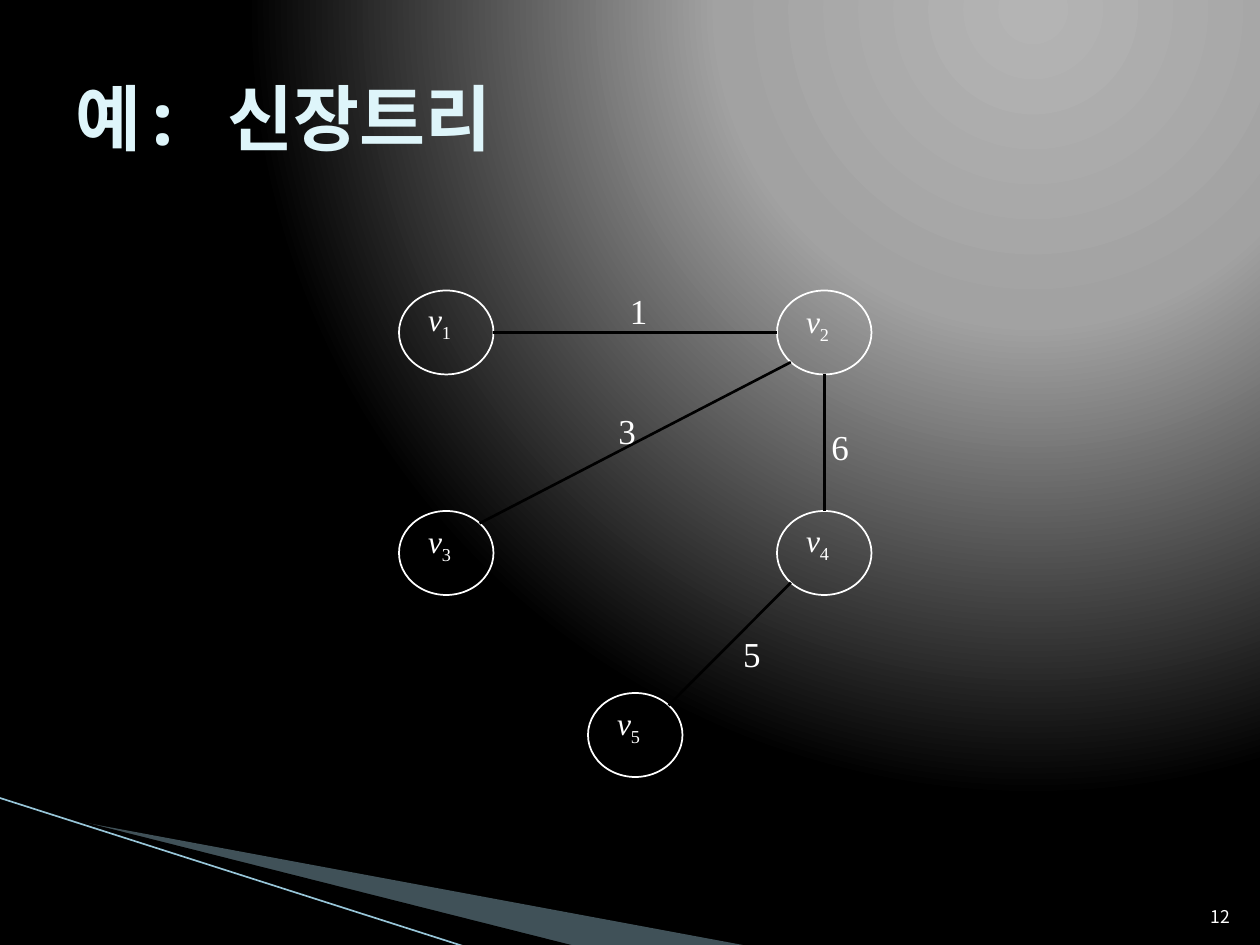
from dataclasses import dataclass
from math import hypot

from lxml import etree
from pptx import Presentation
from pptx.dml.color import RGBColor
from pptx.enum.shapes import MSO_CONNECTOR, MSO_SHAPE
from pptx.enum.text import MSO_ANCHOR, MSO_AUTO_SIZE, PP_ALIGN
from pptx.oxml import parse_xml
from pptx.oxml.ns import nsdecls, qn
from pptx.util import Pt

STRAIGHT = MSO_CONNECTOR.STRAIGHT
ELLIPSE = MSO_SHAPE.OVAL
TOP, MIDDLE, BOTTOM = MSO_ANCHOR.TOP, MSO_ANCHOR.MIDDLE, MSO_ANCHOR.BOTTOM
LEFT, RIGHT = PP_ALIGN.LEFT, PP_ALIGN.RIGHT
GROW = MSO_AUTO_SIZE.SHAPE_TO_FIT_TEXT

COLORS = {
    "text": "FFFFFF",
    "title": "DEF5FA",
    "edge": "000000",
    "shade": "000000",
    "wedge": "A0CBDC",
    "accent": "97C5D8",
}
GRADIENT_STOPS = ((0, "B4B4B4"), (40, "A2A2A2"), (100, "000000"))
SERIF, SANS, MONO = "Times New Roman", "Noto Sans CJK KR", "Noto Sans Mono"
NODE_WIDTH, NODE_HEIGHT = 54, 48


@dataclass(frozen=True)
class TextRun:
    text: str
    size: float
    font: str = SERIF
    color: str = "text"
    bold: bool = False
    italic: bool = False
    subscript: bool = False


@dataclass(frozen=True)
class Node:
    """A tree node: corner of its ellipse and drop of its label."""
    left: float
    top: float
    label_drop: float

    def rim(self, across: int, down: int) -> tuple[float, float]:
        """Return the point on the ellipse in the given direction."""
        length = hypot(across, down)
        return (self.left + NODE_WIDTH / 2 * (1 + across / length),
                self.top + NODE_HEIGHT / 2 * (1 + down / length))


@dataclass(frozen=True)
class Edge:
    """A weighted edge; directions tell where it leaves each ellipse."""
    start: int
    start_direction: tuple[int, int]
    end: int
    end_direction: tuple[int, int]
    weight: int
    weight_at: tuple[float, float]


NODES = {
    1: Node(228, 166, 2),
    2: Node(444, 166, 3),
    3: Node(228, 292, 3),
    4: Node(444, 292, 2),
    5: Node(336, 396, 3),
}
EDGES = (
    Edge(1, (1, 0), 2, (-1, 0), 1, (352.8, 162)),
    Edge(4, (-1, 1), 5, (1, -1), 5, (417.6, 357.8)),
    Edge(3, (1, -1), 2, (-1, 1), 3, (346.3, 230.4)),
    Edge(2, (0, 1), 4, (0, -1), 6, (468, 239.8)),
)


def rgb(name: str) -> RGBColor:
    """Look up a named colour."""
    return RGBColor.from_string(COLORS[name])


def set_background(slide) -> None:
    """Fill the background with a radial gradient from the upper right."""
    slide.background.fill.gradient()
    gradient = slide.element.find(".//" + qn("a:gradFill"))
    stops = "".join(
        f'<a:gs pos="{position * 1000}"><a:srgbClr val="{color}"/></a:gs>'
        for position, color in GRADIENT_STOPS)
    gradient.getparent().replace(gradient, parse_xml(
        f'<a:gradFill {nsdecls("a")} rotWithShape="1"><a:gsLst>{stops}</a:gsLst>'
        '<a:path path="circle"><a:fillToRect l="65000" t="0" r="0" b="98000"/>'
        '</a:path></a:gradFill>'))


def add_text(slide, left: float, top: float, width: float, height: float,
             runs: list[TextRun], anchor=TOP, align=LEFT, grow: bool = False) -> None:
    """Add a text box with one paragraph built from runs."""
    box = slide.shapes.add_textbox(Pt(left), Pt(top), Pt(width), Pt(height))
    frame = box.text_frame
    frame.word_wrap = not grow
    frame.vertical_anchor = anchor
    if grow:
        frame.auto_size = GROW
    paragraph = frame.paragraphs[0]
    paragraph.alignment = align
    for item in runs:
        run = paragraph.add_run()
        run.text = item.text
        font = run.font
        font.name, font.size = item.font, Pt(item.size)
        font.bold, font.italic = item.bold, item.italic
        font.color.rgb = rgb(item.color)
        properties = run._r.get_or_add_rPr()
        etree.SubElement(properties, qn("a:ea")).set("typeface", item.font)
        if item.subscript:
            properties.set("baseline", "-25000")


def add_line(slide, start: tuple[float, float], end: tuple[float, float],
             color: str, weight: float) -> None:
    """Add a straight line without a shadow."""
    line = slide.shapes.add_connector(STRAIGHT, *map(Pt, start + end))
    line.line.color.rgb = rgb(color)
    line.line.width = Pt(weight)
    etree.SubElement(line._element.spPr, qn("a:effectLst"))


def add_wedge(slide, points: list[tuple[float, float]], color: str,
              opacity: int = 100) -> None:
    """Add a closed, borderless polygon with an opacity in percent."""
    first, *others = [(Pt(x), Pt(y)) for x, y in points]
    builder = slide.shapes.build_freeform(*first)
    builder.add_line_segments(others, close=True)
    shape = builder.convert_to_shape()
    shape.shadow.inherit = False
    shape.fill.solid()
    shape.fill.fore_color.rgb = rgb(color)
    shape.line.fill.background()
    if opacity < 100:
        fill_color = shape._element.spPr.find(".//" + qn("a:srgbClr"))
        etree.SubElement(fill_color, qn("a:alpha")).set("val", str(opacity * 1000))


def add_node(slide, number: int, node: Node) -> None:
    """Add a node's ellipse and its subscripted name."""
    shape = slide.shapes.add_shape(ELLIPSE, Pt(node.left), Pt(node.top),
                                   Pt(NODE_WIDTH), Pt(NODE_HEIGHT))
    shape.shadow.inherit = False
    shape.fill.background()
    shape.line.color.rgb = rgb("text")
    shape.line.width = Pt(1)
    add_text(slide, node.left + 9.5, node.top + node.label_drop, 36.7, 37.4,
             [TextRun("v", 18, italic=True),
              TextRun(str(number), 18, subscript=True)], grow=True)


def add_edge(slide, edge: Edge) -> None:
    """Add an edge and its weight."""
    add_line(slide, NODES[edge.start].rim(*edge.start_direction),
             NODES[edge.end].rim(*edge.end_direction), "edge", 1.5)
    add_text(slide, *edge.weight_at, 24.5, 28.8,
             [TextRun(str(edge.weight), 20)], grow=True)


def main() -> None:
    """Build and save the slide."""
    presentation = Presentation()
    presentation.slide_width, presentation.slide_height = Pt(720), Pt(540)
    slide = presentation.slides.add_slide(presentation.slide_layouts[6])
    set_background(slide)
    add_wedge(slide, [(39.6, 468.4), (428.4, 540.7), (328.3, 540.7), (39.6, 468)],
              "wedge", 40)
    add_wedge(slide, [(38.2, 467.3), (329, 540.7), (267.8, 541.4), (38.9, 468)],
              "shade")
    add_line(slide, (-0.7, 455.8), (267.1, 541.4), "accent", 0.95)
    add_text(slide, 681.1, 504.7, 28.8, 28.8, [TextRun("12", 10, SANS)],
             BOTTOM, RIGHT)
    add_text(slide, 36, 21.6, 648, 90,
             [TextRun("예: 신장트리", 41, MONO, "title", bold=True)], MIDDLE)
    for number, node in NODES.items():
        add_node(slide, number, node)
    for edge in EDGES:
        add_edge(slide, edge)
    presentation.save("out.pptx")


main()
